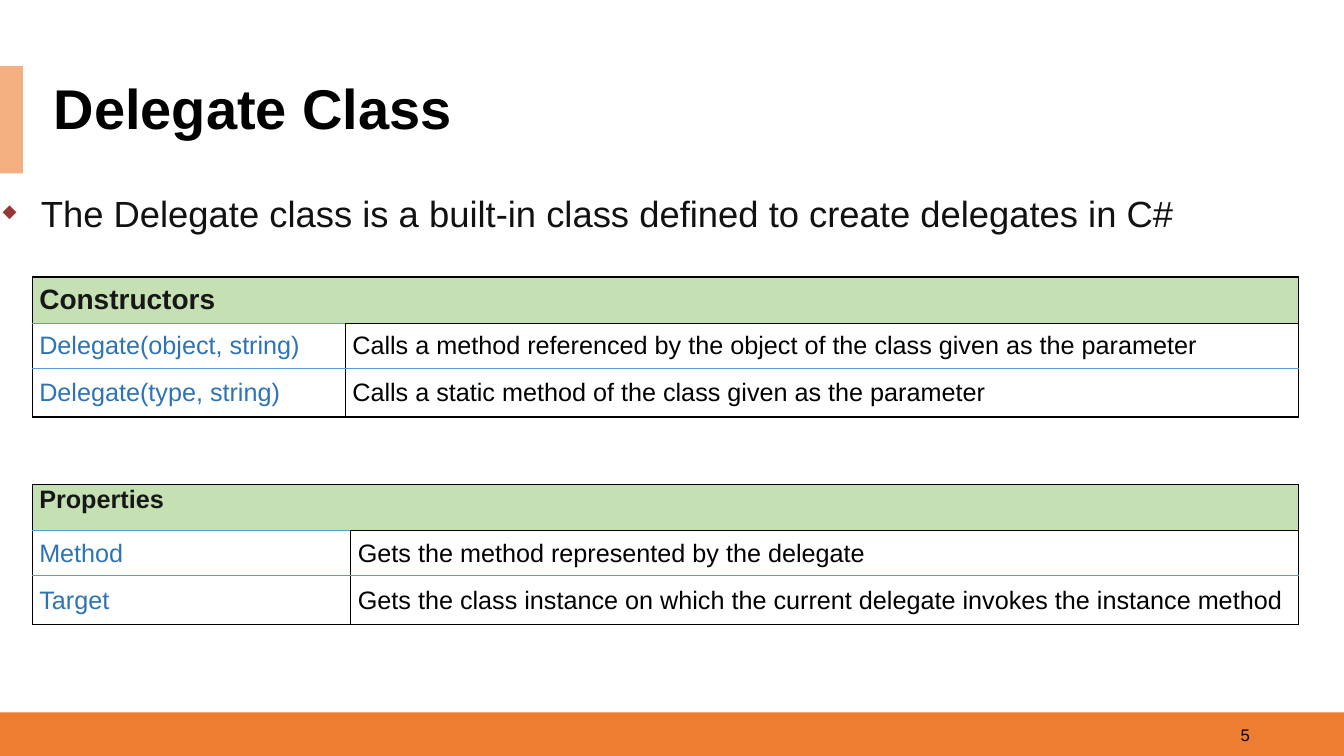
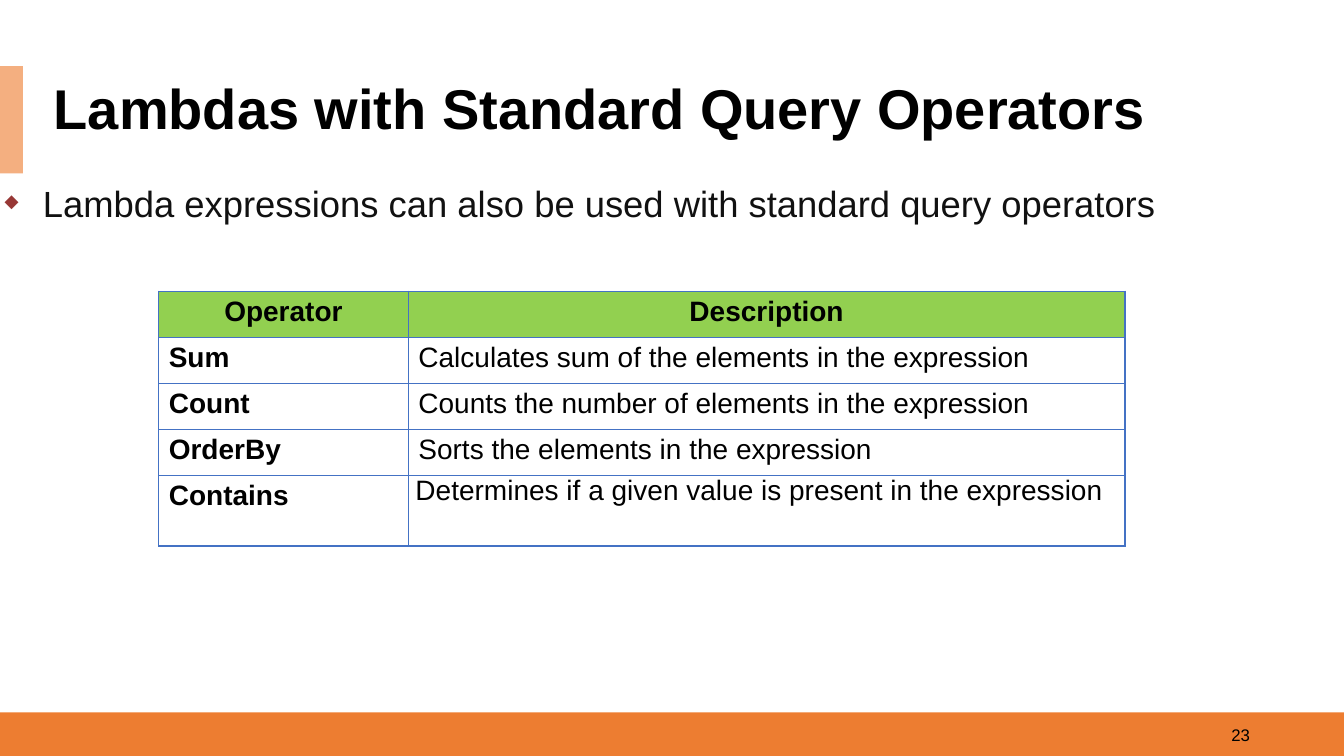
from dataclasses import dataclass, field

from lxml.etree import SubElement
from pptx import Presentation
from pptx.dml.color import RGBColor
from pptx.enum.shapes import MSO_SHAPE
from pptx.enum.text import MSO_ANCHOR, MSO_AUTO_SIZE, PP_ALIGN
from pptx.oxml.ns import qn
from pptx.util import Cm, Pt

TITLE_ONLY = 5


@dataclass(frozen=True)
class Theme:
    font: str = "Arial"
    # Colours
    band: str = "ED7D31"
    accent: str = "F4AF80"
    black: str = "000000"
    white: str = "FFFFFF"
    body: str = "111111"
    bullet: str = "973735"
    header_text: str = "171717"
    header_fill: str = "C5E0B3"
    member: str = "2E74B5"
    row_line: str = "5B9BD5"
    operator_fill: str = "92D050"
    operator_line: str = "4472C4"
    # Type sizes
    title_size: int = 40
    body_size: int = 26
    large_cell_size: int = 20
    cell_size: int = 18
    number_size: int = 12


THEME = Theme()


@dataclass
class Cell:
    text: str
    size: int = THEME.cell_size
    color: str = THEME.black
    bold: bool = False
    fill: str = THEME.white
    align: PP_ALIGN = PP_ALIGN.LEFT
    anchor: MSO_ANCHOR = MSO_ANCHOR.TOP
    tight: bool = True
    line_spacing: float = 1.0
    space_after: int = 0
    borders: dict = field(default_factory=dict)


class Deck:
    """Holds the presentation, its theme and the slide being drawn."""

    def __init__(self, theme):
        self.theme = theme
        self.presentation = Presentation()
        self.presentation.slide_width = Cm(33.87)
        self.presentation.slide_height = Cm(19.05)
        self.slide = None

    # Slide frame: bands, number and title
    def new_slide(self, title, number):
        layout = self.presentation.slide_layouts[TITLE_ONLY]
        self.slide = self.presentation.slides.add_slide(layout)
        self.band(0, 17.95, 33.87, 1.1, self.theme.band)
        self.band(0, 1.67, 0.58, 2.7, self.theme.accent)
        self.number(number)
        self.title(title)

    def band(self, left, top, width, height, color):
        shape = self.slide.shapes.add_shape(
            MSO_SHAPE.RECTANGLE, Cm(left), Cm(top), Cm(width), Cm(height))
        shape.shadow.inherit = False
        shape.fill.solid()
        shape.fill.fore_color.rgb = RGBColor.from_string(color)
        shape.line.fill.background()

    def number(self, number):
        frame = self.text_box(24.13, 18.01, 7.62, 1.02)
        frame.vertical_anchor = MSO_ANCHOR.MIDDLE
        paragraph = frame.paragraphs[0]
        paragraph.alignment = PP_ALIGN.RIGHT
        self.run(paragraph, str(number), self.theme.number_size, self.theme.black)

    def title(self, text):
        shape = self.slide.shapes.title
        shape.left, shape.top = Cm(1.1), Cm(2)
        shape.width, shape.height = Cm(31.6), Cm(1.6)
        frame = shape.text_frame
        frame.auto_size = MSO_AUTO_SIZE.NONE
        frame.word_wrap = True
        frame.vertical_anchor = MSO_ANCHOR.MIDDLE
        paragraph = frame.paragraphs[0]
        paragraph.alignment = PP_ALIGN.LEFT
        paragraph.line_spacing = 0.9
        self.run(paragraph, text, self.theme.title_size, self.theme.black, True)

    # Text
    def text_box(self, left, top, width, height):
        shape = self.slide.shapes.add_textbox(
            Cm(left), Cm(top), Cm(width), Cm(height))
        shape.text_frame.word_wrap = True
        return shape.text_frame

    def run(self, paragraph, text, size, color, bold=False):
        run = paragraph.add_run()
        run.text = text
        run.font.name = self.theme.font
        run.font.size = Pt(size)
        run.font.bold = bold
        run.font.color.rgb = RGBColor.from_string(color)

    def bullet(self, text, left, top, width, space_before, space_after=0):
        frame = self.text_box(left, top, width, 1.74)
        frame.auto_size = MSO_AUTO_SIZE.SHAPE_TO_FIT_TEXT
        paragraph = frame.paragraphs[0]
        paragraph.alignment = PP_ALIGN.JUSTIFY
        paragraph.line_spacing = 1.5
        paragraph.space_before = Pt(space_before)
        paragraph.space_after = Pt(space_after)
        self.run(paragraph, text, self.theme.body_size, self.theme.body)
        # Hanging indent and diamond marker
        properties = paragraph._p.get_or_add_pPr()
        properties.set("marL", str(Cm(0.96)))
        properties.set("indent", str(Cm(-0.96)))
        color = SubElement(properties, qn("a:buClr"))
        SubElement(color, qn("a:srgbClr"), val=self.theme.bullet)
        SubElement(properties, qn("a:buSzPct"), val="50000")
        SubElement(properties, qn("a:buChar"), char="◆")

    # Tables
    def table(self, left, top, widths, heights, rows):
        frame = self.slide.shapes.add_table(
            len(heights), len(widths), Cm(left), Cm(top),
            Cm(sum(widths)), Cm(sum(heights)))
        table = frame.table
        table.first_row = table.horz_banding = False
        for column, width in zip(table.columns, widths):
            column.width = Cm(width)
        for index, (height, cells) in enumerate(zip(heights, rows)):
            table.rows[index].height = Cm(height)
            for position, content in enumerate(cells):
                self.cell(table.cell(index, position), content)
        return table

    def cell(self, cell, content):
        self.borders(cell, content.borders)
        cell.fill.solid()
        cell.fill.fore_color.rgb = RGBColor.from_string(content.fill)
        cell.vertical_anchor = content.anchor
        if content.tight:
            cell.margin_left = cell.margin_right = Cm(0.18)
            cell.margin_top = cell.margin_bottom = 0
        paragraph = cell.text_frame.paragraphs[0]
        paragraph.alignment = content.align
        paragraph.line_spacing = content.line_spacing
        paragraph.space_after = Pt(content.space_after)
        if content.text:
            self.run(paragraph, content.text, content.size, content.color,
                     content.bold)

    def borders(self, cell, colors):
        properties = cell._tc.get_or_add_tcPr()
        for side in "LRTB":
            line = SubElement(properties, qn(f"a:ln{side}"), w=str(Pt(1)))
            fill = SubElement(line, qn("a:solidFill"))
            SubElement(fill, qn("a:srgbClr"), val=colors[side])

    def member_table(self, top, widths, heading, members, **spacing):
        """A heading across both columns, then one member a row."""
        theme = self.theme
        black_box = dict.fromkeys("LRTB", theme.black)
        upper = {**black_box, "B": theme.row_line}
        heading.bold = True
        heading.color, heading.fill = theme.header_text, theme.header_fill
        heading.borders = upper
        rest = Cell("", fill=theme.header_fill, borders=upper)
        rows = [(heading, rest)]
        for index, (name, meaning) in enumerate(members):
            lower = theme.black if index == len(members) - 1 else theme.row_line
            name_box = {**black_box, "T": theme.row_line, "B": lower}
            meaning_top = theme.row_line if index else theme.black
            rows.append((
                Cell(name, color=theme.member, anchor=MSO_ANCHOR.MIDDLE,
                     borders=name_box, **spacing),
                Cell(meaning, anchor=MSO_ANCHOR.MIDDLE,
                     borders={**name_box, "T": meaning_top}, **spacing)))
        table = self.table(0.81, top, widths, (1.17, 1.14, 1.22), rows)
        table.cell(0, 0).merge(table.cell(0, 1))

    def operator_table(self, headings, operators):
        theme = self.theme
        shared = dict(size=theme.large_cell_size, tight=False,
                      borders=dict.fromkeys("LRTB", theme.operator_line))
        rows = [[Cell(text, bold=True, fill=theme.operator_fill,
                      align=PP_ALIGN.CENTER, **shared) for text in headings]]
        rows += [[Cell(name, bold=True, **shared), Cell(meaning, **shared)]
                 for name, meaning in operators]
        rows[-1][-1].tight = True
        heights = [1.16] * len(operators) + [1.78]
        self.table(4, 7.34, (6.29, 18.06), heights, rows)


def main():
    deck = Deck(THEME)

    # Delegate class
    deck.new_slide("Delegate Class", 5)
    deck.member_table(
        12.2, (8.03, 23.88), Cell("Properties", line_spacing=1.07),
        [("Method", "Gets the method represented by the delegate"),
         ("Target", "Gets the class instance on which the current delegate "
                    "invokes the instance method")],
        line_spacing=1.07, space_after=8)
    deck.member_table(
        6.98, (7.89, 24.02),
        Cell("Constructors", size=THEME.large_cell_size,
             anchor=MSO_ANCHOR.MIDDLE),
        [("Delegate(object, string)", "Calls a method referenced by the object "
                                      "of the class given as the parameter"),
         ("Delegate(type, string)", "Calls a static method of the class given "
                                    "as the parameter")])
    deck.bullet("The Delegate class is a built-in class defined to create "
                "delegates in C#", -0.18, 4.14, 32.3, 6, 6)

    # Query operators
    deck.new_slide("Lambdas with Standard Query Operators", 23)
    deck.operator_table(
        ("Operator", "Description"),
        [("Sum", "Calculates sum of the elements in the expression"),
         ("Count", "Counts the number of elements in the expression"),
         ("OrderBy", "Sorts the elements in the expression"),
         ("Contains", "Determines if a given value is present in the expression")])
    deck.bullet("Lambda expressions can also be used with standard query "
                "operators", -0.13, 3.89, 31.34, 10)

    deck.presentation.save("out.pptx")


if __name__ == "__main__":
    main()
